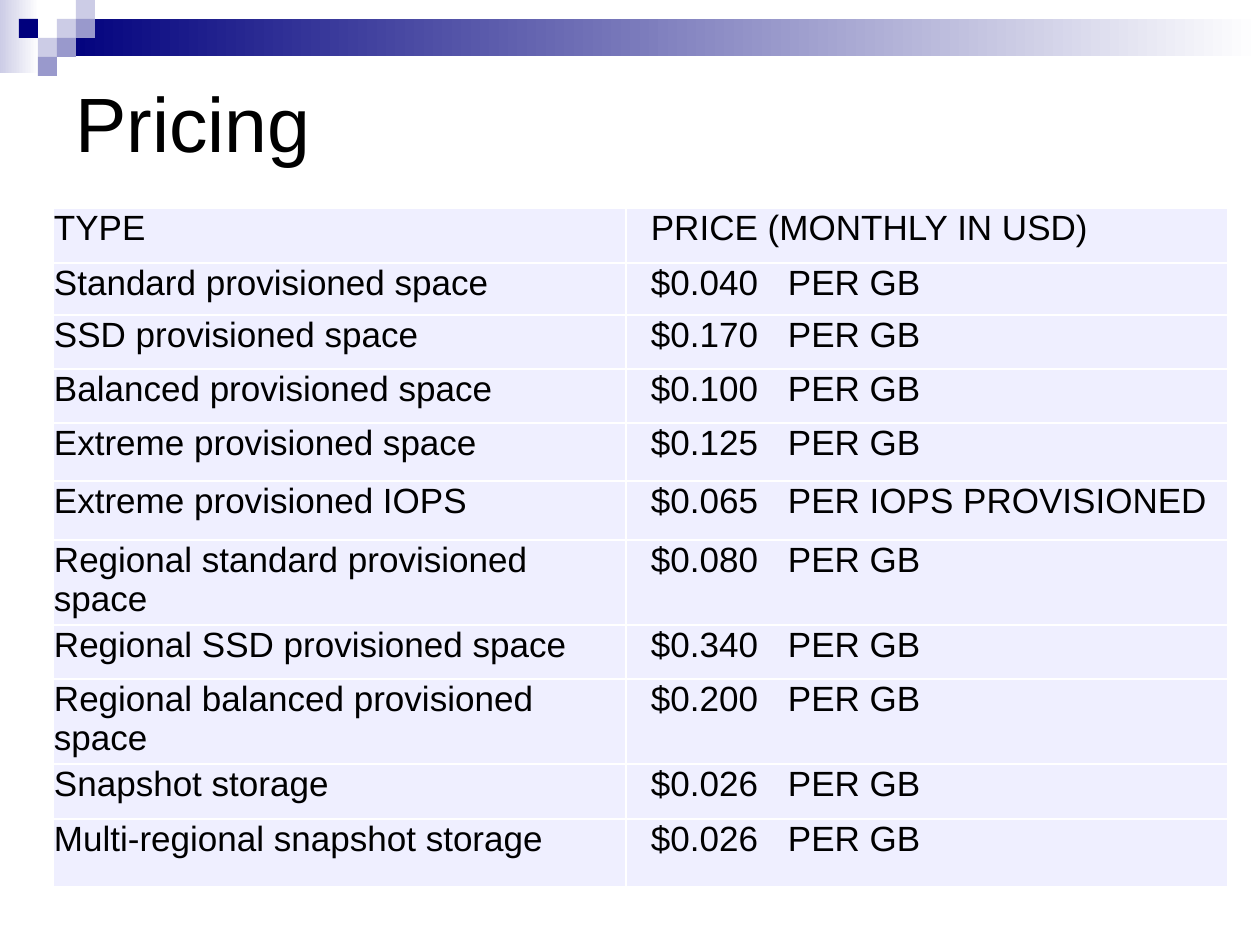
"""Build the pricing slide with its header band, title and price table."""
from lxml.etree import SubElement
from pptx import Presentation
from pptx.dml.color import RGBColor
from pptx.enum.shapes import MSO_SHAPE
from pptx.enum.text import MSO_ANCHOR
from pptx.oxml.ns import qn
from pptx.util import Emu, Pt

EMU_PER_PX = 914400 / 126
SQUARE = 19
NAVY, LILAC, PALE, WHITE, BLACK = "00007D", "9999CC", "CCCCE6", "FFFFFF", "000000"
SQUARES = [(3, 1, PALE), (4, 0, PALE), (4, 1, LILAC), (2, 2, PALE),
           (1, 1, NAVY), (3, 2, LILAC), (2, 3, LILAC)]
COLUMN_WIDTHS = [573, 602]
PRICES = [
    ("TYPE", "PRICE (MONTHLY IN USD)", 55),
    ("Standard provisioned space", "$0.040\tPER GB", 52),
    ("SSD provisioned space", "$0.170\tPER GB", 54),
    ("Balanced provisioned space", "$0.100\tPER GB", 54),
    ("Extreme provisioned space", "$0.125\tPER GB", 58),
    ("Extreme provisioned IOPS", "$0.065\tPER IOPS PROVISIONED", 59),
    ("Regional standard provisioned space", "$0.080\tPER GB", 68),
    ("Regional SSD provisioned space", "$0.340\tPER GB", 54),
    ("Regional balanced provisioned space", "$0.200\tPER GB", 68),
    ("Snapshot storage", "$0.026\tPER GB", 55),
    ("Multi-regional snapshot storage", "$0.026\tPER GB", 68),
]


def px(length):
    return Emu(round(length * EMU_PER_PX))


def color(value):
    return RGBColor.from_string(value)


def write(text_frame, text, *, size, font="Arial", fill=BLACK, tab=None):
    paragraph = text_frame.paragraphs[0]
    if tab:
        tabs = SubElement(paragraph._p.get_or_add_pPr(), qn("a:tabLst"))
        SubElement(tabs, qn("a:tab"), pos=str(px(tab)), algn="l")
    run = paragraph.add_run()
    run.text = text
    run.font.size = Pt(size)
    run.font.name = font
    run.font.color.rgb = color(fill)


class SlideBuilder:
    def __init__(self, slide):
        self.slide = slide
        self.title_size = 44
        self.cell_size = 20
        self.cell_fill = "EFEFFF"

    def rectangle(self, left, top, width, height, *fills):
        shape = self.slide.shapes.add_shape(
            MSO_SHAPE.RECTANGLE, px(left), px(top), px(width), px(height))
        shape.shadow.inherit = False
        shape.line.fill.background()
        if len(fills) == 1:
            shape.fill.solid()
            shape.fill.fore_color.rgb = color(fills[0])
        else:
            shape.fill.gradient()
            shape.fill.gradient_angle = 0
            for stop, fill in zip(shape.fill.gradient_stops, fills):
                stop.color.rgb = color(fill)

    def title(self, text, left, top, width, height):
        box = self.slide.shapes.add_textbox(px(left), px(top), px(width), px(height))
        box.text_frame.word_wrap = True
        box.text_frame.vertical_anchor = MSO_ANCHOR.MIDDLE
        write(box.text_frame, text, size=self.title_size)

    def border(self, cell):
        properties = cell._tc.get_or_add_tcPr()
        for side in ("lnL", "lnR", "lnT", "lnB"):
            line = SubElement(properties, qn(f"a:{side}"), w=str(Pt(1)))
            fill = SubElement(line, qn("a:solidFill"))
            SubElement(fill, qn("a:srgbClr"), val=WHITE)

    def cell(self, cell, text, indent):
        self.border(cell)
        cell.fill.solid()
        cell.fill.fore_color.rgb = color(self.cell_fill)
        cell.margin_left = px(indent)
        cell.margin_top = cell.margin_right = px(1)
        cell.margin_bottom = 0
        write(cell.text_frame, text, size=self.cell_size, tab=137 if "\t" in text else None)

    def table(self, rows, widths, left, top):
        height = sum(row[-1] for row in rows)
        table = self.slide.shapes.add_table(
            len(rows), len(widths), px(left), px(top), px(sum(widths)), px(height)).table
        table.first_row = table.horz_banding = False
        for column, width in zip(table.columns, widths):
            column.width = px(width)
        for row, (kind, price, row_height) in zip(table.rows, rows):
            row.height = px(row_height)
            self.cell(row.cells[0], kind, 1)
            self.cell(row.cells[1], price, 25)


def main():
    presentation = Presentation()
    presentation.slide_width, presentation.slide_height = px(1260), px(945)
    builder = SlideBuilder(presentation.slides.add_slide(presentation.slide_layouts[6]))
    builder.rectangle(0, 0, 39, 73, PALE, WHITE)
    builder.rectangle(57, SQUARE, 1203, 37, NAVY, WHITE)
    for column, row, fill in SQUARES:
        builder.rectangle(column * SQUARE, row * SQUARE, SQUARE, SQUARE, fill)
    builder.title("Pricing", 63, 63, 1134, 117)
    builder.table(PRICES, COLUMN_WIDTHS, 53, 208)
    presentation.save("out.pptx")


if __name__ == "__main__":
    main()
